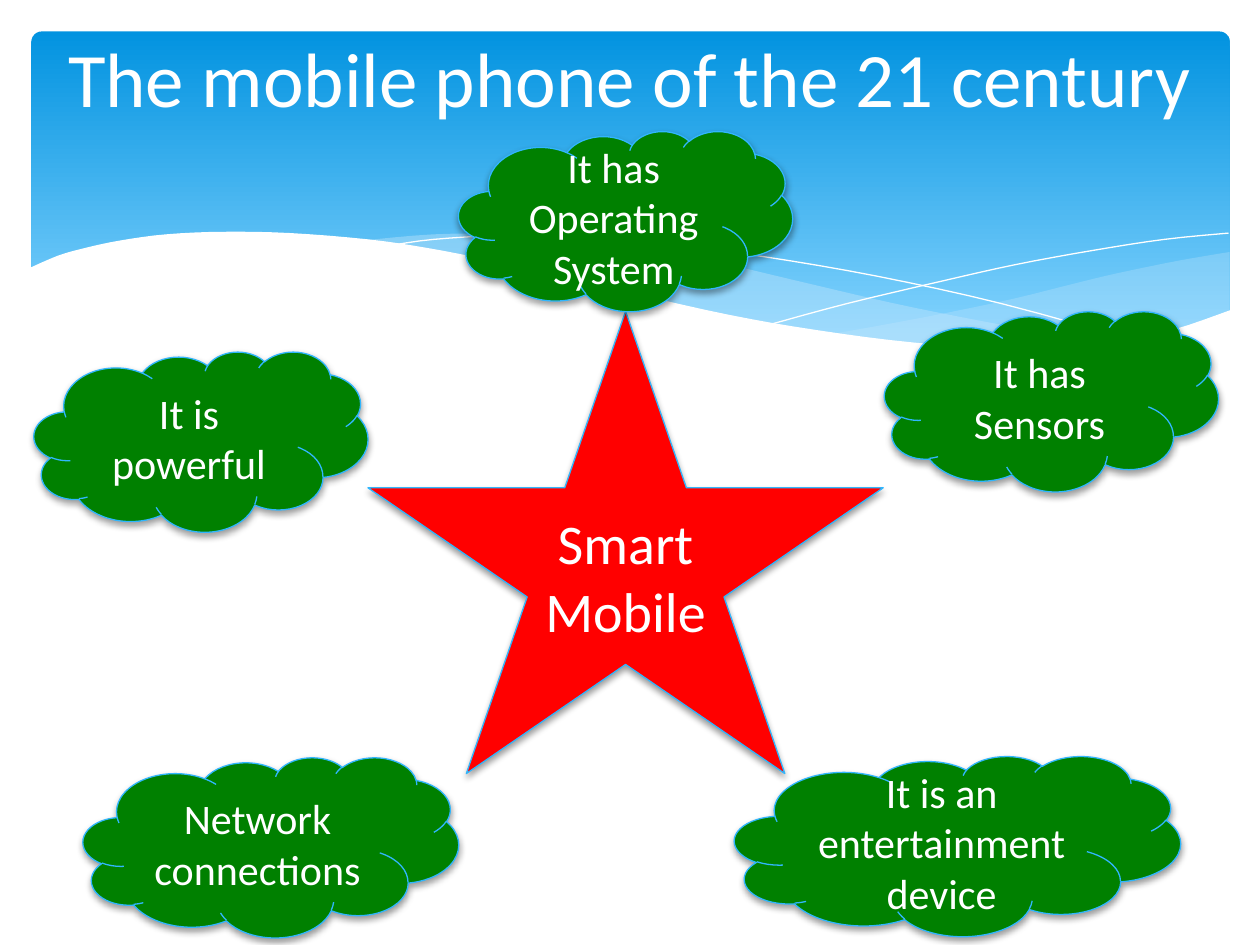
from lxml.etree import SubElement
from pptx import Presentation
from pptx.dml.color import RGBColor
from pptx.enum.shapes import MSO_SHAPE as Kind
from pptx.enum.text import MSO_ANCHOR as Anchor, PP_ALIGN as Align
from pptx.oxml.ns import qn
from pptx.util import Pt

PX = 9144
WHITE, GREEN, RED, EDGE = "FFFFFF", "008000", "FF0000", "31B6FD"
MIST = "C6E7FC"

RIGHT_TOP = [(976, 200), (935, 207), (891, 216), (861, 223), (805, 237),
             (753, 248), (706, 257), (661, 265)]
RIGHT_LOW = [(661, 265), (705, 271), (757, 275), (803, 278), (844, 277),
             (881, 273), (913, 267), (942, 259), (976, 247)]
MID_TOP = [(893, 273), (837, 265), (775, 254), (706, 240), (629, 222),
           (569, 208), (514, 198), (465, 191), (399, 186), (344, 186),
           (286, 191)]
MID_LOW = [(286, 191), (342, 199), (404, 211), (449, 222), (530, 240),
           (601, 255), (665, 266), (722, 274), (785, 278), (838, 278),
           (893, 273)]
FALL = [(309, 195), (344, 190), (401, 187), (469, 189), (533, 194),
        (608, 204), (695, 219), (795, 241), (907, 272)]
RISE = [(613, 257), (672, 241), (748, 223), (806, 210), (866, 199),
        (924, 190), (975, 185)]
FRONT = [(977, 246), (930, 262), (875, 273), (809, 277), (726, 272),
         (648, 262), (579, 250), (503, 233), (447, 220), (391, 207),
         (340, 197), (292, 190), (230, 185), (177, 184), (132, 186),
         (95, 191), (67, 197), (46, 203), (23, 213)]

CLOUDS = [
    (364, 104, 265, ["It has Operating", "System"]),
    (583, 600, 354, ["It is an entertainment device"]),
    (702, 247, 265, ["It has Sensors"]),
    (66, 601, 298, ["Network connections"]),
    (27, 279, 265, ["It is powerful"]),
]


def tint(code):
    return RGBColor.from_string(code)


def bend(knots, steps=4):
    ends = [knots[0], *knots, knots[-1]]
    dots = [knots[0]]
    for a, b, c, d in zip(ends, ends[1:], ends[2:], ends[3:]):
        for step in range(1, steps + 1):
            t = step / steps
            dots.append(tuple(
                (2 * q + (r - p) * t + (2 * p - 5 * q + 4 * r - s) * t ** 2
                 + (3 * q - p - 3 * r + s) * t ** 3) / 2
                for p, q, r, s in zip(a, b, c, d)))
    return dots


def trace(slide, dots, closed):
    spots = [(round(x * PX), round(y * PX)) for x, y in dots]
    pen = slide.shapes.build_freeform(*spots[0], scale=1.0)
    pen.add_line_segments(spots[1:], close=closed)
    shape = pen.convert_to_shape()
    shape.shadow.inherit = False
    return shape


def add_wave(slide, dots, color, alpha=100):
    shape = trace(slide, dots, True)
    shape.fill.solid()
    shape.fill.fore_color.rgb = tint(color)
    shape.line.fill.background()
    if alpha < 100:
        node = shape.element.spPr.find(f"{qn('a:solidFill')}/{qn('a:srgbClr')}")
        SubElement(node, qn("a:alpha"), val=str(alpha * 1000))


def add_thread(slide, knots):
    shape = trace(slide, bend(knots), False)
    shape.fill.background()
    shape.line.color.rgb = tint(WHITE)
    shape.line.width = Pt(0)


def add_sky(slide):
    shape = slide.shapes.add_shape(
        Kind.ROUNDED_RECTANGLE, 25 * PX, 25 * PX, 951 * PX, 270 * PX)
    shape.adjustments[0] = 0.03
    shape.shadow.inherit = False
    shape.line.fill.background()
    shape.fill.gradient()
    shape.fill.gradient_angle = 270
    stops = shape.fill.gradient_stops
    for stop, place, code in zip(stops, (0, 0.9), ("0293E0", "83D3FE")):
        stop.position = place
        stop.color.rgb = tint(code)


def write(shape, lines, size):
    frame = shape.text_frame
    frame.word_wrap = True
    frame.vertical_anchor = Anchor.MIDDLE
    frame.text = "\n".join(lines)
    for para in frame.paragraphs:
        para.alignment = Align.CENTER
        para.font.name = "Calibri"
        para.font.size = Pt(size)
        para.font.color.rgb = tint(WHITE)


def drop_shade(shape):
    shape.shadow.inherit = False
    effects = shape.element.spPr.find(qn("a:effectLst"))
    shade = SubElement(effects, qn("a:outerShdw"), blurRad=str(Pt(4)),
                       dist=str(Pt(2)), dir="5400000", rotWithShape="0")
    color = SubElement(shade, qn("a:srgbClr"), val="000000")
    SubElement(color, qn("a:alpha"), val="38000")


def add_figure(slide, kind, box, color, lines, size):
    shape = slide.shapes.add_shape(kind, *(n * PX for n in box))
    shape.fill.solid()
    shape.fill.fore_color.rgb = tint(color)
    shape.line.color.rgb = tint(EDGE)
    shape.line.width = Pt(0.75)
    drop_shade(shape)
    write(shape, lines, size)


def add_title(slide, text):
    box = slide.shapes.add_textbox(0, 0, 1000 * PX, 122 * PX)
    write(box, [text], 44)


def main():
    deck = Presentation()
    deck.slide_width, deck.slide_height = 1000 * PX, 750 * PX
    slide = deck.slides.add_slide(deck.slide_layouts[6])
    add_sky(slide)
    add_wave(slide, bend(RIGHT_TOP) + bend(RIGHT_LOW), MIST, 29)
    add_wave(slide, bend(MID_TOP) + bend(MID_LOW), MIST, 40)
    add_thread(slide, FALL)
    add_thread(slide, RISE)
    add_wave(slide, bend(FRONT) + [(23, 329), (977, 329)], WHITE)
    add_title(slide, "The mobile phone of the 21 century")
    add_figure(slide, Kind.STAR_5_POINT, (292, 247, 409, 367), RED,
               ["Smart", "Mobile"], 32)
    for left, top, width, lines in CLOUDS:
        add_figure(slide, Kind.CLOUD, (left, top, width, 143), GREEN, lines, 24)
    deck.save("out.pptx")


if __name__ == "__main__":
    main()
